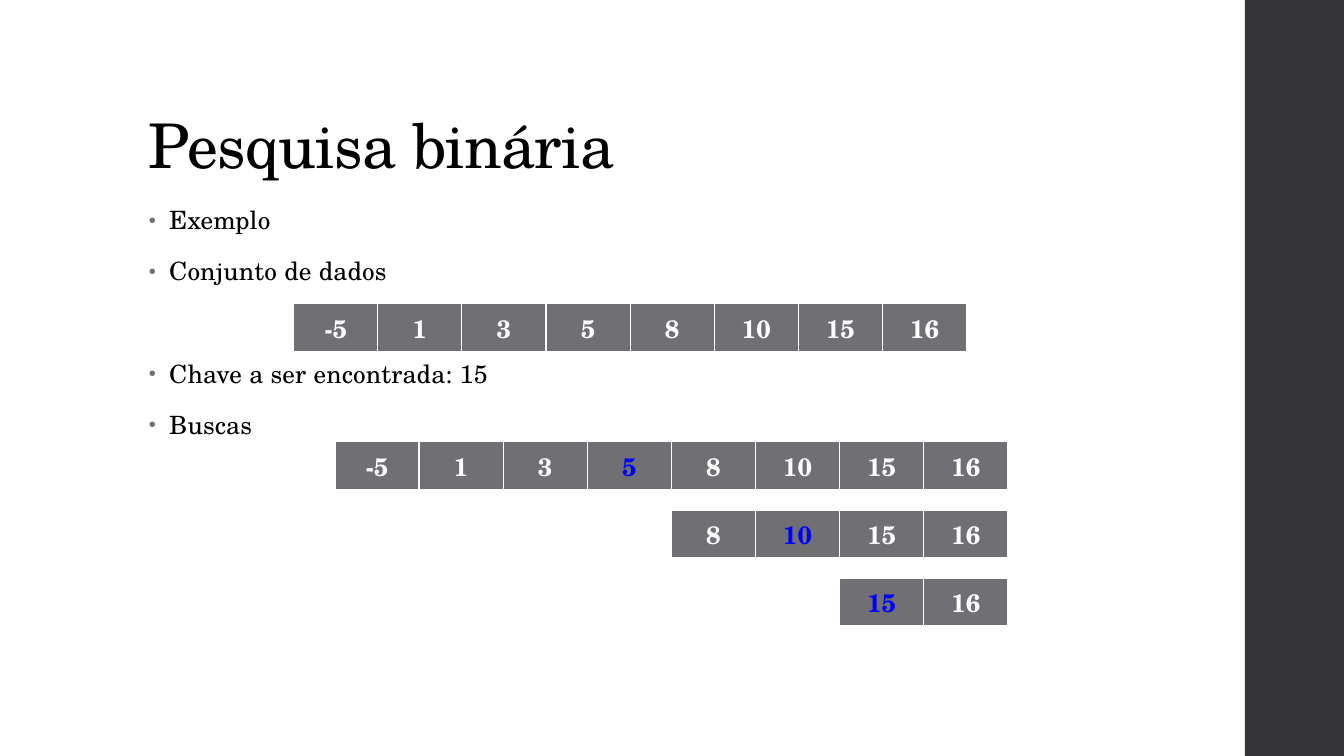
import pptx
import pptx.dml.color
import pptx.enum.shapes
import pptx.enum.text
import pptx.oxml.ns
import pptx.util
from lxml import etree
from pptx.util import Cm

FONT = "TeX Gyre Schola"
GRAY = "6F6F74"
WHITE = "FFFFFF"
BLACK = "000000"
BLUE = "0000FF"
CELL_WIDTH = 2.12
CELL_HEIGHT = 1.03
DATA = [-5, 1, 3, 5, 8, 10, 15, 16]
SEARCHES = [(DATA, 5), (DATA[4:], 10), (DATA[6:], 15)]


def paint(color_format, color):
    color_format.rgb = pptx.dml.color.RGBColor.from_string(color)


def fill_solid(fill, color):
    fill.solid()
    paint(fill.fore_color, color)


def add_element(parent, tag, **attributes):
    return etree.SubElement(parent, pptx.oxml.ns.qn(tag), **attributes)


def format_runs(para, size, color, bold=False, spacing=0):
    for span in para.runs:
        span.font.name = FONT
        span.font.size = pptx.util.Pt(size)
        span.font.bold = bold
        paint(span.font.color, color)
        span.font._element.set("spc", str(spacing))


def place(shape, left, top, width, height):
    shape.left, shape.top = Cm(left), Cm(top)
    shape.width, shape.height = Cm(width), Cm(height)


def add_sidebar(page):
    bar = page.shapes.add_shape(
        pptx.enum.shapes.MSO_SHAPE.RECTANGLE, Cm(31.37), 0, Cm(2.5), Cm(19.05))
    bar.shadow.inherit = False
    fill_solid(bar.fill, "353537")
    bar.line.fill.background()


def set_title(page, text):
    title = page.shapes.title
    place(title, 3.5, 1.02, 26.92, 3.68)
    frame = title.text_frame
    frame.text = text
    frame.vertical_anchor = pptx.enum.text.MSO_ANCHOR.BOTTOM
    para = frame.paragraphs[0]
    para.alignment = pptx.enum.text.PP_ALIGN.LEFT
    para.line_spacing = 0.9
    format_runs(para, 44, BLACK, spacing=-50)


def add_bullet(para):
    properties = para._p.get_or_add_pPr()
    properties.set("marL", str(Cm(0.51)))
    properties.set("indent", str(Cm(-0.51)))
    bullet_color = add_element(properties, "a:buClr")
    add_element(bullet_color, "a:srgbClr", val=GRAY)
    add_element(properties, "a:buSzPct", val="80000")
    add_element(properties, "a:buFont", typeface="Arial")
    add_element(properties, "a:buChar", char="•")


def set_list(page, items):
    body = page.placeholders[1]
    place(body, 3.5, 5.08, 23.88, 12.09)
    frame = body.text_frame
    frame.text = "\n".join(text for text, _ in items)
    for para, (_, space_before) in zip(frame.paragraphs, items):
        para.line_spacing = 0.95
        para.space_before = pptx.util.Pt(space_before)
        para.space_after = pptx.util.Pt(2)
        add_bullet(para)
        format_runs(para, 18, BLACK, spacing=10)


def add_borders(cell):
    properties = cell._tc.get_or_add_tcPr()
    for index, (side, width) in enumerate(
            [("a:lnL", 1), ("a:lnR", 1), ("a:lnT", 1), ("a:lnB", 3)]):
        border = etree.Element(
            pptx.oxml.ns.qn(side), w=str(pptx.util.Pt(width)))
        add_element(add_element(border, "a:solidFill"), "a:srgbClr", val=WHITE)
        properties.insert(index, border)


def add_array(page, values, right, top, probe=None):
    count = len(values)
    table = page.shapes.add_table(
        1, count, Cm(right - count * CELL_WIDTH), Cm(top),
        Cm(count * CELL_WIDTH), Cm(CELL_HEIGHT)).table
    for column, value in enumerate(values):
        table.columns[column].width = Cm(CELL_WIDTH)
        cell = table.cell(0, column)
        cell.text_frame.text = str(value)
        para = cell.text_frame.paragraphs[0]
        para.alignment = pptx.enum.text.PP_ALIGN.CENTER
        format_runs(para, 18, BLUE if value == probe else WHITE, bold=True)
        fill_solid(cell.fill, GRAY)
        add_borders(cell)


def main():
    deck = pptx.Presentation()
    deck.slide_width, deck.slide_height = Cm(33.87), Cm(19.05)
    page = deck.slides.add_slide(deck.slide_layouts[1])
    add_sidebar(page)
    set_title(page, "Pesquisa binária")
    set_list(page, [
        ("Exemplo", 14),
        ("Conjunto de dados", 14),
        ("Chave a ser encontrada: 15", 50.6),
        ("Buscas", 14),
    ])
    for step, (values, probe) in enumerate(SEARCHES):
        add_array(page, values, 25.4, 11.13 + step * 1.72, probe)
    add_array(page, DATA, 24.36, 7.65)
    deck.save("out.pptx")


if __name__ == "__main__":
    main()
